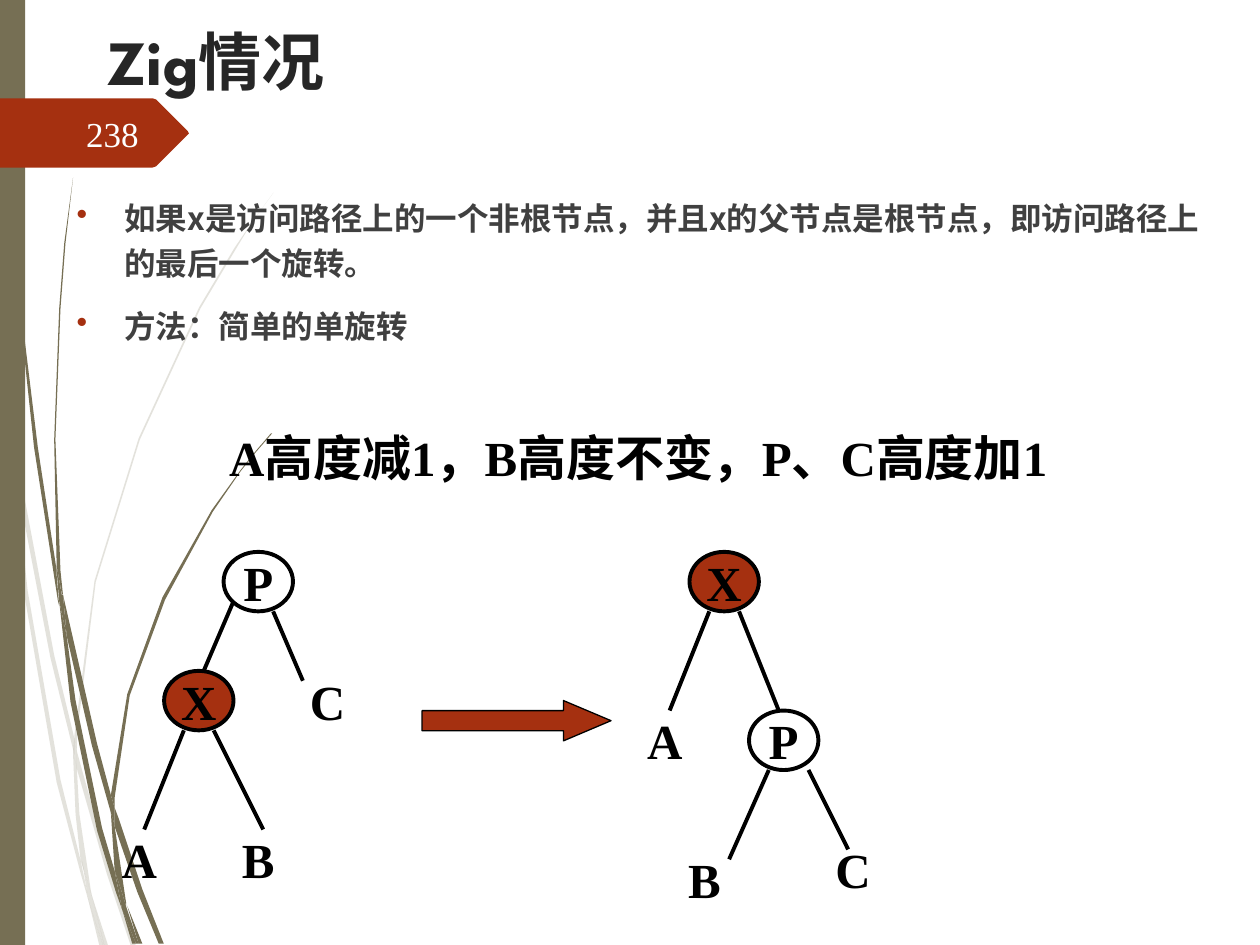
"""Build the slide that explains the Zig case of a splay tree rotation."""
import lxml.etree
import pptx
import pptx.dml.color
import pptx.enum.shapes
import pptx.enum.text
import pptx.oxml.ns
import pptx.util

RGBColor = pptx.dml.color.RGBColor
Inches = pptx.util.Inches
SHAPE = pptx.enum.shapes.MSO_SHAPE
ALIGN = pptx.enum.text.PP_ALIGN
ANCHOR = pptx.enum.text.MSO_ANCHOR
qn = pptx.oxml.ns.qn

OLIVE = RGBColor(0x76, 0x6F, 0x54)
RUST = RGBColor(0xA5, 0x30, 0x10)
INK = RGBColor(0x26, 0x26, 0x26)
GRAY = RGBColor(0x40, 0x40, 0x40)
BLACK = RGBColor(0, 0, 0)
WHITE = RGBColor(0xFE, 0xFF, 0xFF)
HEADING, CJK, SERIF = "League Spartan", "Noto Sans CJK SC", "Times New Roman"

TITLE = "Zig情况"
POINTS = [
    "如果x是访问路径上的一个非根节点，并且x的父节点是根节点，即访问路径上的最后一个旋转。",
    "方法：简单的单旋转",
]
CAPTION = "A高度减1，B高度不变，P、C高度加1"
PAGE = "238"

UNIT = 0.0787
NODE_SIZE = (7, 6)
TREES = [
    {
        "origin": (0.83, 4.38),
        "nodes": [("P", 12, 0), ("X", 6, 12), ("C", 19, 12), ("B", 12, 28), ("A", 0, 28)],
        "edges": [(13, 5, 10, 12), (8, 18, 4, 28), (17, 6, 20, 13), (11, 18, 16, 28)],
    },
    {
        "origin": (5, 4.38),
        "nodes": [("X", 6, 0), ("A", 0, 16), ("P", 12, 16), ("B", 4, 30), ("C", 19, 29)],
        "edges": [(8, 6, 4, 16), (11, 6, 15, 16), (14, 22, 10, 31), (18, 22, 22, 30)],
    },
]
NODE_FILLS = {"P": None, "X": RUST}

PALE_BLADES = [
    "8,350 6,322 0,282 0,299 7,344",
    "40,522 59,599 59,586 43,520 10,345 12,376",
    "64,607 61,596 61,610 85,694 104,751 108,751 88,692",
    "83,751 86,751 73,711",
    "64,683 48,619 22,469 12,376 8,350 19,470 45,621 64,693 70,714 69,707",
    "58,599 60,646 64,683 67,692 73,711 72,706 63,646 61,610 61,608",
    "61,584 76,462 111,349 159,245 187,198 201,175 217,153 201,175 186,197 158,244 110,348 75,461 "
    "59,584 59,586 61,596",
    "70,714 79,751 82,751",
    "61,608 61,610 61,596 59,586 58,599",
    "67,692 65,683 69,707 70,714 82,751 83,751 73,711",
]
DARK_BLADES = [
    "5,110 14,233 27,355 46,477 47,481 45,457 45,453 30,355 15,232 6,109 4,48 3,0 2,0 3,48",
    "73,592 88,645 88,633 88,631 77,590 50,472 53,505",
    "94,649 91,641 91,656 109,708 126,749 130,749 113,706",
    "91,691 81,657 60,556 53,505 47,477 56,557 77,659 92,708 97,722 96,717",
    "50,472 48,453 44,349 48,245 52,193 58,141 51,193 47,245 43,349 45,449 49,471",
    "110,749 113,749 101,719",
    "47,477 53,505 50,472 49,472 45,449 45,453",
    "91,633 103,552 131,476 169,406 191,374 203,359 216,344 215,344 203,358 191,373 168,405 129,474 "
    "101,551 88,631 91,641",
    "97,722 105,749 108,749",
    "88,645 91,691 96,706 100,719 100,716 91,656 90,651",
    "88,645 90,651 91,656 91,641 88,631 88,633",
    "96,706 91,691 96,717 97,722 108,749 110,749 100,719",
]
FLAG = "0,78 121,78 124,79 149,104 150,106 149,107 124,132 121,133 0,133"


def paint(shape, fill=None, line=None, width=2.25):
    """Set the fill and line of a shape and drop its shadow."""
    shape.shadow.inherit = False
    if fill is None:
        shape.fill.background()
    else:
        shape.fill.solid()
        shape.fill.fore_color.rgb = fill
    if line is None:
        shape.line.fill.background()
    else:
        shape.line.color.rgb = line
        shape.line.width = pptx.util.Pt(width)


def add_outline(slide, outline, fill, opacity=None):
    """Add a filled outline given in hundredths of an inch."""
    points = [tuple(map(int, pair.split(","))) for pair in outline.split()]
    builder = slide.shapes.build_freeform(*points[0], scale=Inches(0.01))
    builder.add_line_segments(points[1:], close=True)
    shape = builder.convert_to_shape()
    paint(shape, fill)
    if opacity:
        color = shape.element.spPr.find(qn("a:solidFill"))[0]
        lxml.etree.SubElement(color, qn("a:alpha")).set("val", str(opacity * 1000))


def write(shape, *texts, size, font, color, bold=True, align=ALIGN.LEFT,
          anchor=ANCHOR.TOP, wrap=True, bullet=None, spacing=None, before=0):
    """Write paragraphs with one format into a shape."""
    frame = shape.text_frame
    frame.word_wrap = wrap
    frame.vertical_anchor = anchor
    frame.auto_size = pptx.enum.text.MSO_AUTO_SIZE.NONE
    for index, text in enumerate(texts):
        paragraph = frame.add_paragraph() if index else frame.paragraphs[0]
        paragraph.alignment = align
        paragraph.line_spacing = spacing
        paragraph.space_before = pptx.util.Pt(before if index else 0)
        if bullet:
            properties = paragraph._p.get_or_add_pPr()
            properties.set("marL", str(Inches(0.38)))
            properties.set("indent", str(Inches(-0.38)))
            bullet_color = lxml.etree.SubElement(properties, qn("a:buClr"))
            lxml.etree.SubElement(bullet_color, qn("a:srgbClr")).set("val", str(bullet))
            lxml.etree.SubElement(properties, qn("a:buChar")).set("char", "•")
        run = paragraph.add_run()
        run.text = text
        run.font.size, run.font.name, run.font.bold = pptx.util.Pt(size), font, bold
        run.font.color.rgb = color
        east_asian = lxml.etree.Element(qn("a:ea"))
        east_asian.set("typeface", CJK)
        run.font._element.find(qn("a:latin")).addnext(east_asian)


def add_tree(slide, origin, nodes, edges):
    """Draw a tree whose places are counted in grid units."""
    def place(x, y):
        return Inches(origin[0] + x * UNIT), Inches(origin[1] + y * UNIT)

    width, height = (Inches(side * UNIT) for side in NODE_SIZE)
    for label, column, row in nodes:
        node = slide.shapes.add_shape(SHAPE.OVAL, *place(column, row), width, height)
        paint(node, NODE_FILLS.get(label), BLACK if label in NODE_FILLS else None)
        write(node, label, size=28, font=SERIF, color=BLACK, align=ALIGN.CENTER, anchor=ANCHOR.MIDDLE, wrap=False)
    for x1, y1, x2, y2 in edges:
        edge = slide.shapes.add_connector(pptx.enum.shapes.MSO_CONNECTOR.STRAIGHT, *place(x1, y1), *place(x2, y2))
        edge.line.color.rgb = BLACK
        edge.line.width = pptx.util.Pt(2.25)
        lxml.etree.SubElement(edge.element.spPr, qn("a:effectLst"))


def add_box(slide, *box):
    """Add a text box placed in inches."""
    return slide.shapes.add_textbox(*map(Inches, box))


def main():
    """Assemble and save the slide."""
    presentation = pptx.Presentation()
    presentation.slide_width, presentation.slide_height = Inches(10), Inches(7.5)
    slide = presentation.slides.add_slide(presentation.slide_layouts[5])
    for blade in PALE_BLADES:
        add_outline(slide, blade, OLIVE, opacity=20)
    for blade in DARK_BLADES:
        add_outline(slide, blade, OLIVE)
    stripe = slide.shapes.add_shape(SHAPE.RECTANGLE, 0, 0, Inches(0.2), presentation.slide_height)
    paint(stripe, OLIVE)
    add_outline(slide, FLAG, RUST)

    title = slide.shapes.title
    title.left, title.top, title.width, title.height = map(Inches, (0.75, 0.13, 8.5, 1.25))
    write(title, TITLE, size=36, font=HEADING, color=INK)
    title.element.getparent().append(title.element)
    write(add_box(slide, 0.51, 1.47, 9.13, 3.07), *POINTS, size=18, font=CJK, color=GRAY,
          bullet=RUST, spacing=1.2, before=10)
    write(add_box(slide, 0.56, 0.86, 0.64, 0.4), PAGE, size=20, font=SERIF, color=WHITE, bold=False,
          align=ALIGN.RIGHT, anchor=ANCHOR.MIDDLE)

    for tree in TREES:
        add_tree(slide, **tree)
    arrow = slide.shapes.add_shape(SHAPE.RIGHT_ARROW, *map(Inches, (3.35, 5.56, 1.5, 0.32)))
    arrow.adjustments[0], arrow.adjustments[1] = 0.5, 1.18
    paint(arrow, RUST, BLACK, 0.75)
    write(add_box(slide, 1.72, 3.34, 7.62, 0.57), CAPTION, size=28, font=SERIF, color=BLACK, wrap=False)
    presentation.save("out.pptx")


if __name__ == "__main__":
    main()
